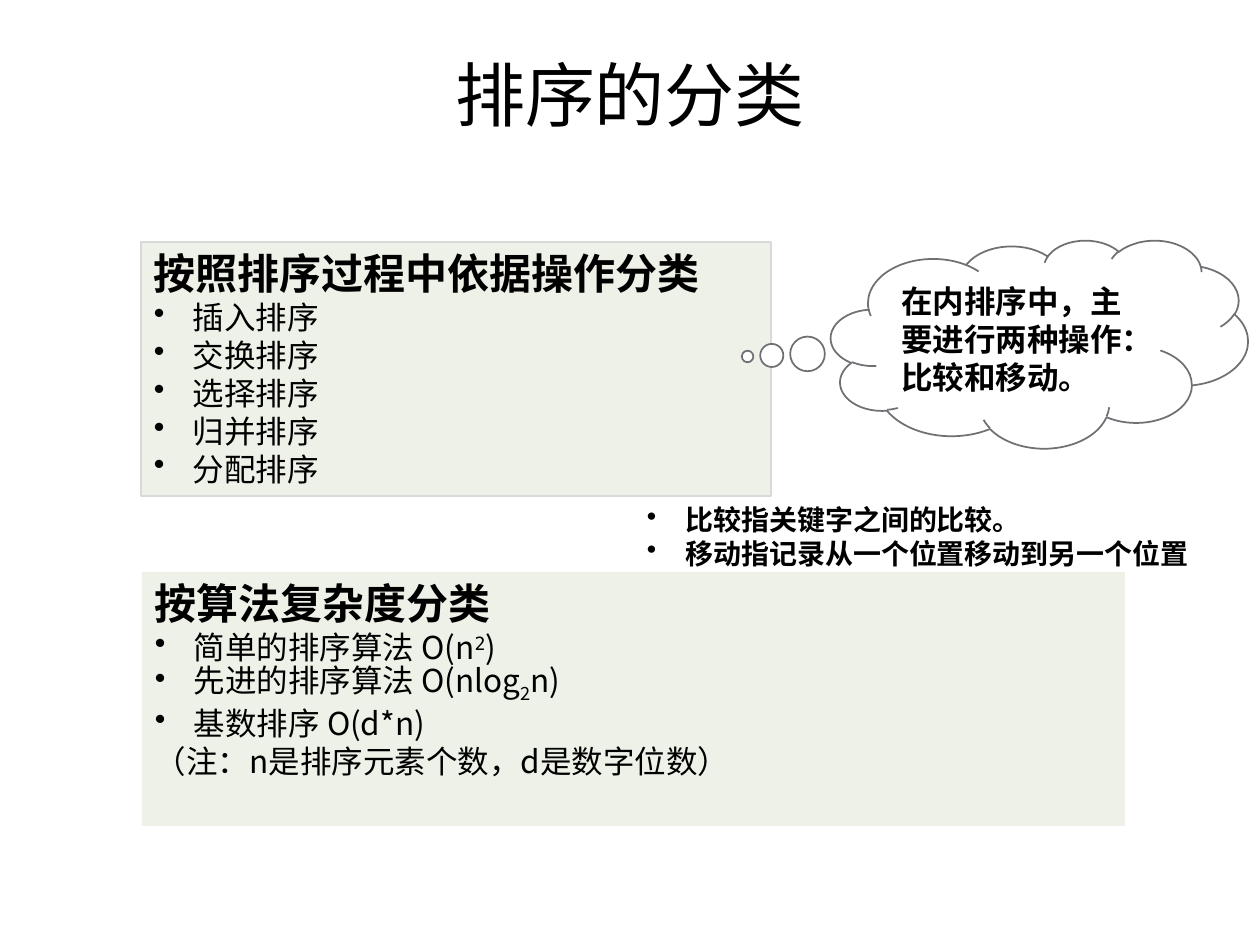
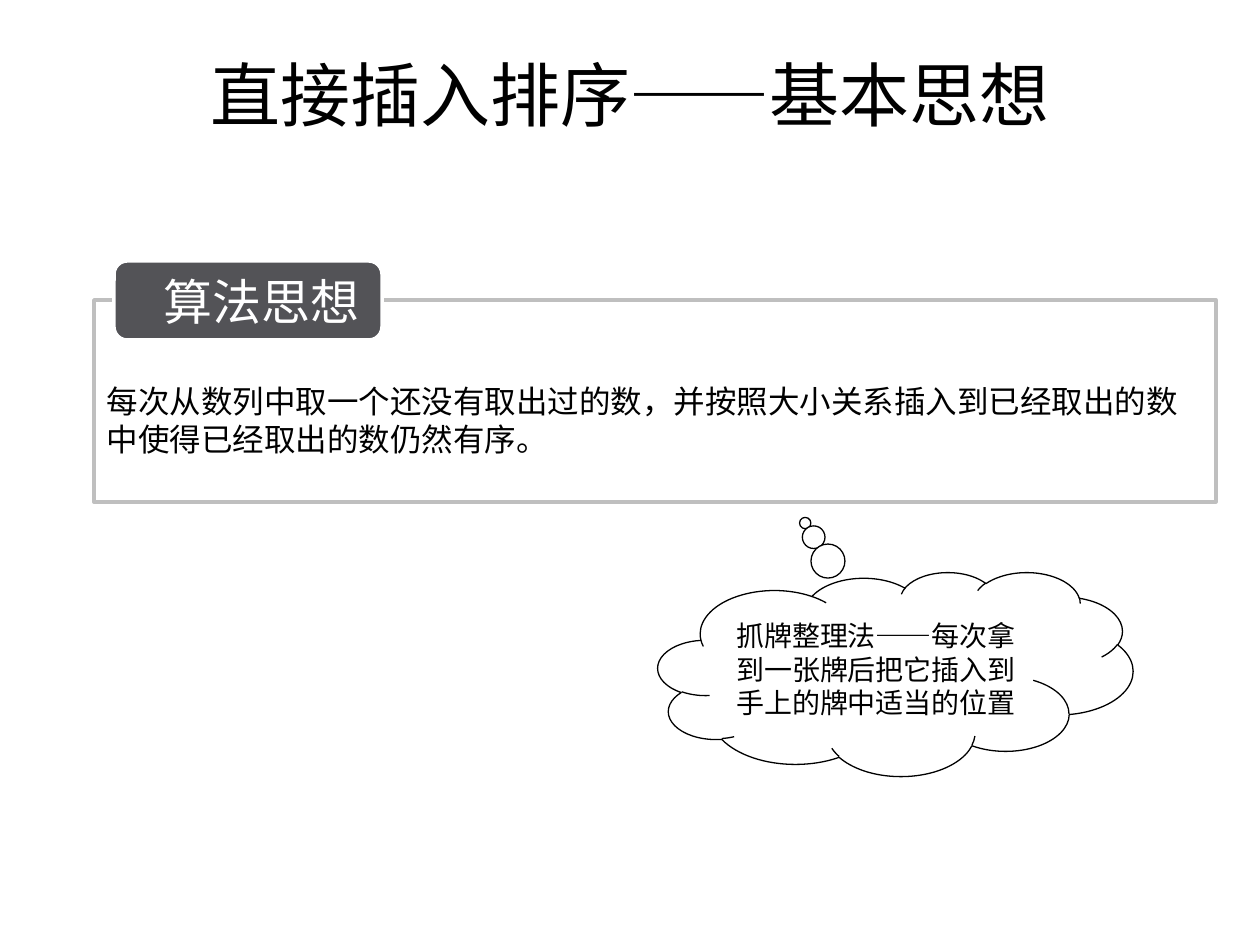
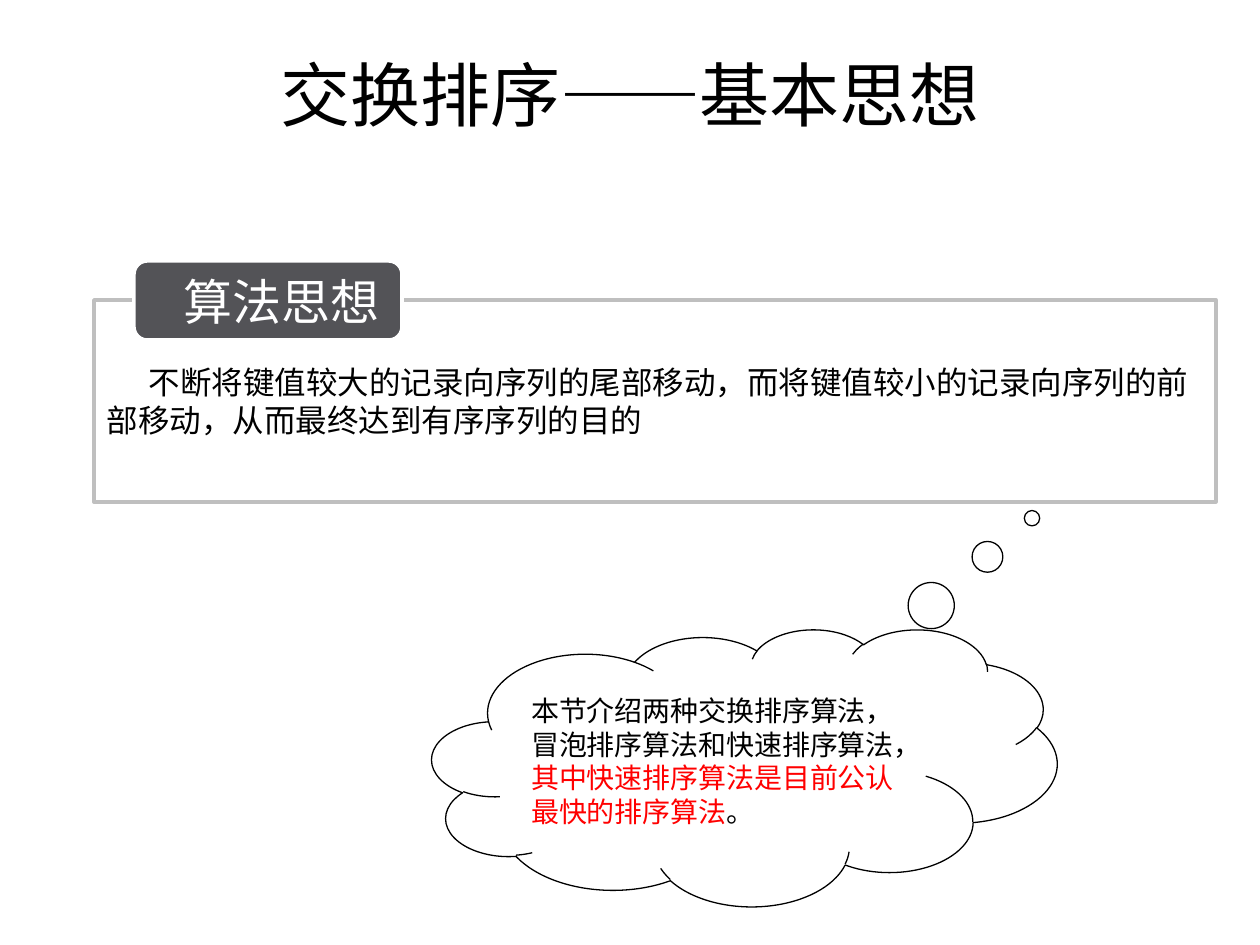
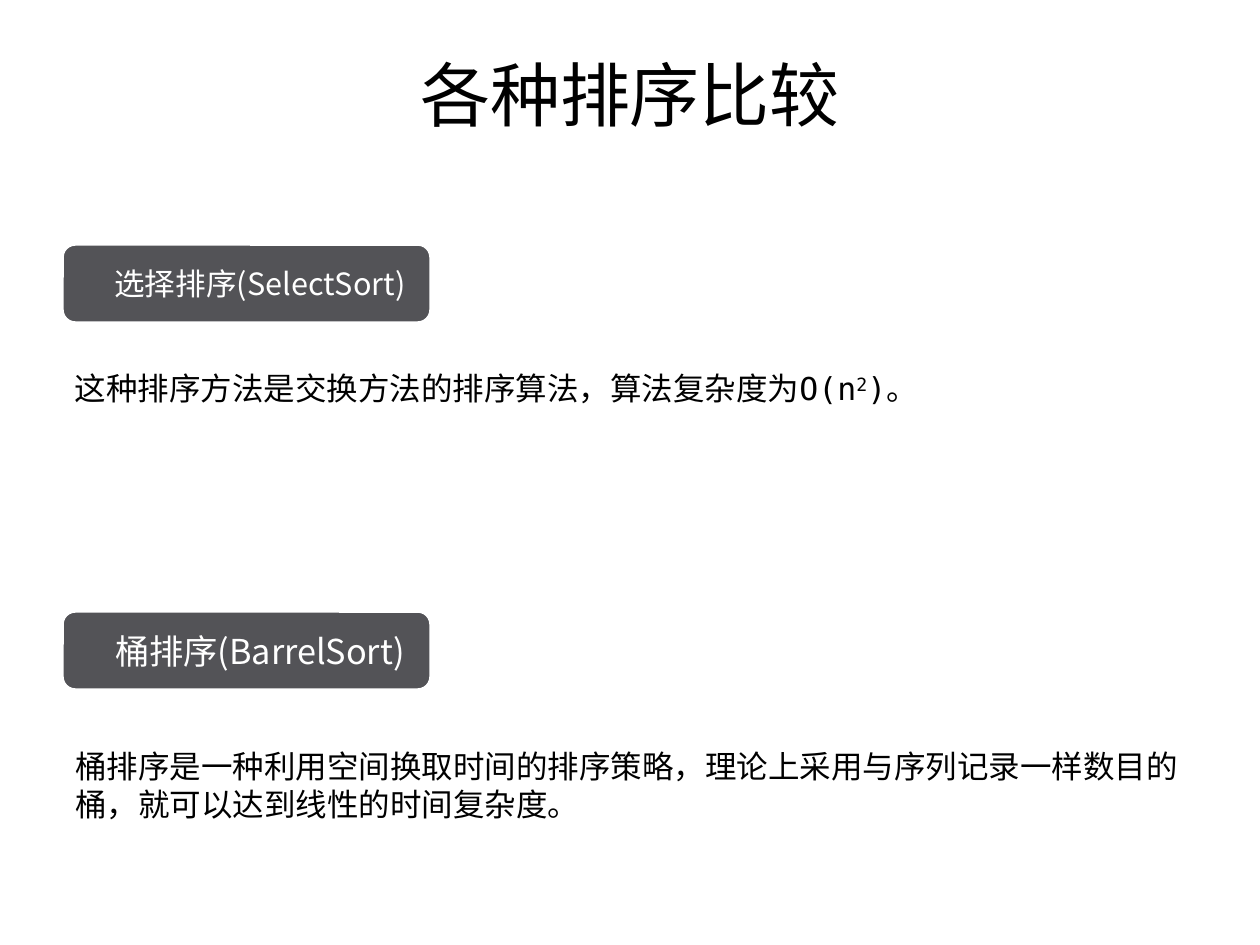
from lxml import etree
from pptx import Presentation
from pptx import util as u
from pptx.dml.color import RGBColor
from pptx.enum import shapes, text
from pptx.oxml import ns

PX = u.Inches(1) / 126
COLORS = {"black": "000000", "white": "FFFFFF", "red": "FF0000", "panel": "EDF1E7",
          "panel_line": "D9D9D9", "frame": "BFBFBF", "label": "535357", "cloud": "6F6F74"}
SANS, MONO, TITLE_FONT = "Noto Sans CJK SC", "DejaVu Sans Mono", "Noto Sans CJK JP"
LINE_HEIGHT = 1.2
HANGING = 39
TITLE_BOX = (63, 45, 1134, 98)
IDEA_FRAME = (94, 300, 1122, 202)
LABEL_HEIGHT = 79
LABEL_INSETS = (40, 6, 13, 6)

# A paragraph is a list of runs; a run is a string or (string, changes).
SUPER, SUB, RED = {"baseline": 30}, {"baseline": -25}, {"color": "red"}
OPERATIONS = ["插入排序", "交换排序", "选择排序", "归并排序", "分配排序"]
COMPLEXITIES = [
    ["简单的排序算法 O(n", ("2", {"font": MONO, **SUPER}), ")"],
    ["先进的排序算法 O(nlog", ("2", SUB), "n)"],
    ["基数排序 O(d*n)"],
]
HEADING = {"size": 24, "bold": True}

SLIDES = [
    ("排序的分类", [
        ("panel", (142, 572, 983, 254), {"paragraphs": [
            (["按算法复杂度分类"], HEADING),
            *[(runs, {"bullet": True}) for runs in COMPLEXITIES],
            (["（注：n是排序元素个数，d是数字位数）"], {})]}),
        ("panel", (141, 242, 630, 254), {"line": ("panel_line", 0.75), "paragraphs": [
            (["按照排序过程中依据操作分类"], HEADING),
            *[([name], {"bullet": True}) for name in OPERATIONS]]}),
        ("note", (634, 497, 617, 80), {"paragraphs": [
            ([line], {"bullet": True, "size": 16, "bold": True})
            for line in ("比较指关键字之间的比较。", "移动指记录从一个位置移动到另一个位置")]}),
        ("cloud", (831, 240, 417, 208), {
            "tail": (-0.7, 0.06), "line": ("cloud", 1), "paragraphs": [
                (["在内排序中，主要进行两种操作：比较和移动。"], {"size": 18, "bold": True})]}),
    ]),
    ("直接插入排序——基本思想", [
        ("cloud", (658, 572, 475, 204), {"tail": (-0.19, -0.74), "paragraphs": [
            (["抓牌整理法——每次拿到一张牌后把它插入到手上的牌中适当的位置"], {"font": SANS})]}),
        ("frame", IDEA_FRAME, {"insets": (13, 44, 13, 6), "paragraphs": [
            (["每次从数列中取一个还没有取出过的数，并按照大小关系插入到已经取出的数中使得已经取出的数仍然有序。"], {})]}),
        ("label", (114, 261, 268, LABEL_HEIGHT), {"paragraphs": [(["算法思想"], {"size": 28})]}),
    ]),
    ("交换排序——基本思想", [
        ("frame", IDEA_FRAME, {"paragraphs": [
            (["不断将键值较大的记录向序列的尾部移动，而将键值较小的记录向序列的前部移动，从而最终达到有序序列的目的"],
             {"first_line": 42})]}),
        ("label", (134, 261, 268, LABEL_HEIGHT), {"paragraphs": [(["算法思想"], {"size": 28})]}),
        ("cloud", (432, 629, 625, 277), {"tail": (0.46, -0.9), "paragraphs": [
            (["本节介绍两种交换排序算法，冒泡排序算法和快速排序算法，",
              ("其中快速排序算法是目前公认最快的排序算法", RED), "。"], {})]}),
    ]),
    ("各种排序比较", [
        ("label", (62, 244, 369, LABEL_HEIGHT), {"paragraphs": [(["选择排序(SelectSort)"], {"size": 17.5})]}),
        ("note", (62, 363, 1134, 50), {"paragraphs": [
            (["这种排序方法是交换方法的排序算法，算法复杂度为O(n", ("2", SUPER), ")。"], {})]}),
        ("label", (62, 611, 369, LABEL_HEIGHT), {"paragraphs": [(["桶排序(BarrelSort)"], {"size": 19.6})]}),
        ("note", (62, 741, 1153, 127), {"paragraphs": [
            (["桶排序是一种利用空间换取时间的排序策略，理论上采用与序列记录一样数目的桶，就可以达到线性的时间复杂度。"], {})]}),
    ]),
]

SHAPE = shapes.MSO_SHAPE
KINDS = {
    "panel": {"preset": SHAPE.RECTANGLE, "fill": "panel", "anchor": "TOP", "text": {"font": SANS}},
    "frame": {"preset": SHAPE.RECTANGLE, "line": ("frame", 2)},
    "label": {"preset": SHAPE.ROUNDED_RECTANGLE, "fill": "label", "line": ("white", 2),
              "insets": LABEL_INSETS,
              "text": {"font": SANS, "color": "white", "align": "CENTER", "fixed": False}},
    "cloud": {"preset": SHAPE.CLOUD_CALLOUT, "fill": "white", "line": ("black", 0.75),
              "text": {"size": 16}},
    "note": {"anchor": "TOP"},
}
TEXT = {"font": MONO, "size": 18, "color": "black", "align": "LEFT", "fixed": True}


def px(*lengths):
    return [round(length * PX) for length in lengths]


def rgb(name):
    return RGBColor.from_string(COLORS[name])


def format_run(run, style):
    font = run.font
    font.name, font.size = style["font"], u.Pt(style["size"])
    font.bold = style.get("bold", False)
    font.color.rgb = rgb(style["color"])
    properties = run._r.get_or_add_rPr()
    east_asian = TITLE_FONT if style["font"] == TITLE_FONT else SANS
    properties.find(ns.qn("a:latin")).addnext(
        etree.Element(ns.qn("a:ea"), typeface=east_asian))
    if "baseline" in style:
        properties.set("baseline", str(style["baseline"] * 1000))


def write_paragraph(paragraph, runs, style):
    properties = paragraph._p.get_or_add_pPr()
    margin = HANGING if style.get("bullet") else 0
    indent = -HANGING if style.get("bullet") else style.get("first_line", 0)
    for name, length in zip(("marL", "indent"), px(margin, indent)):
        properties.set(name, str(length))
    if style.get("bullet"):
        etree.SubElement(properties, ns.qn("a:buChar"), char="•")
    paragraph.alignment = getattr(text.PP_ALIGN, style["align"])
    if style["fixed"]:
        paragraph.line_spacing = u.Pt(style["size"] * LINE_HEIGHT)
    for item in runs:
        words, changes = (item, {}) if isinstance(item, str) else item
        run = paragraph.add_run()
        run.text = words
        format_run(run, {**style, **changes})


def write_text(frame, paragraphs, defaults, anchor="MIDDLE", insets=(13, 6, 13, 6)):
    frame.word_wrap = True
    frame.vertical_anchor = getattr(text.MSO_ANCHOR, anchor)
    frame.margin_left, frame.margin_top, frame.margin_right, frame.margin_bottom = px(*insets)
    for index, (runs, changes) in enumerate(paragraphs):
        paragraph = frame.add_paragraph() if index else frame.paragraphs[0]
        write_paragraph(paragraph, runs, {**TEXT, **defaults, **changes})


def paint(shape, fill=None, line=None):
    shape.shadow.inherit = False
    if fill:
        shape.fill.solid()
        shape.fill.fore_color.rgb = rgb(fill)
    else:
        shape.fill.background()
    if line:
        color, width = line
        shape.line.color.rgb = rgb(color)
        shape.line.width = u.Pt(width)
    else:
        shape.line.fill.background()


def add_part(slide, kind, box, details):
    part = {**KINDS[kind], **details}
    if "preset" in part:
        shape = slide.shapes.add_shape(part["preset"], *px(*box))
        paint(shape, part.get("fill"), part.get("line"))
    else:
        shape = slide.shapes.add_textbox(*px(*box))
    for index, value in enumerate(part.get("tail", ())):
        shape.adjustments[index] = value
    options = {name: part[name] for name in ("anchor", "insets") if name in part}
    write_text(shape.text_frame, part["paragraphs"], part.get("text", {}), **options)


def add_title(slide, words):
    title = slide.shapes.title
    title.left, title.top, title.width, title.height = px(*TITLE_BOX)
    write_text(title.text_frame, [([words], {})],
               {"font": TITLE_FONT, "size": 40, "align": "CENTER", "fixed": False})


def main():
    presentation = Presentation()
    presentation.slide_width, presentation.slide_height = u.Inches(10), u.Inches(7.5)
    for title, parts in SLIDES:
        slide = presentation.slides.add_slide(presentation.slide_layouts[5])
        add_title(slide, title)
        for kind, box, details in parts:
            add_part(slide, kind, box, details)
    presentation.save("out.pptx")


if __name__ == "__main__":
    main()
